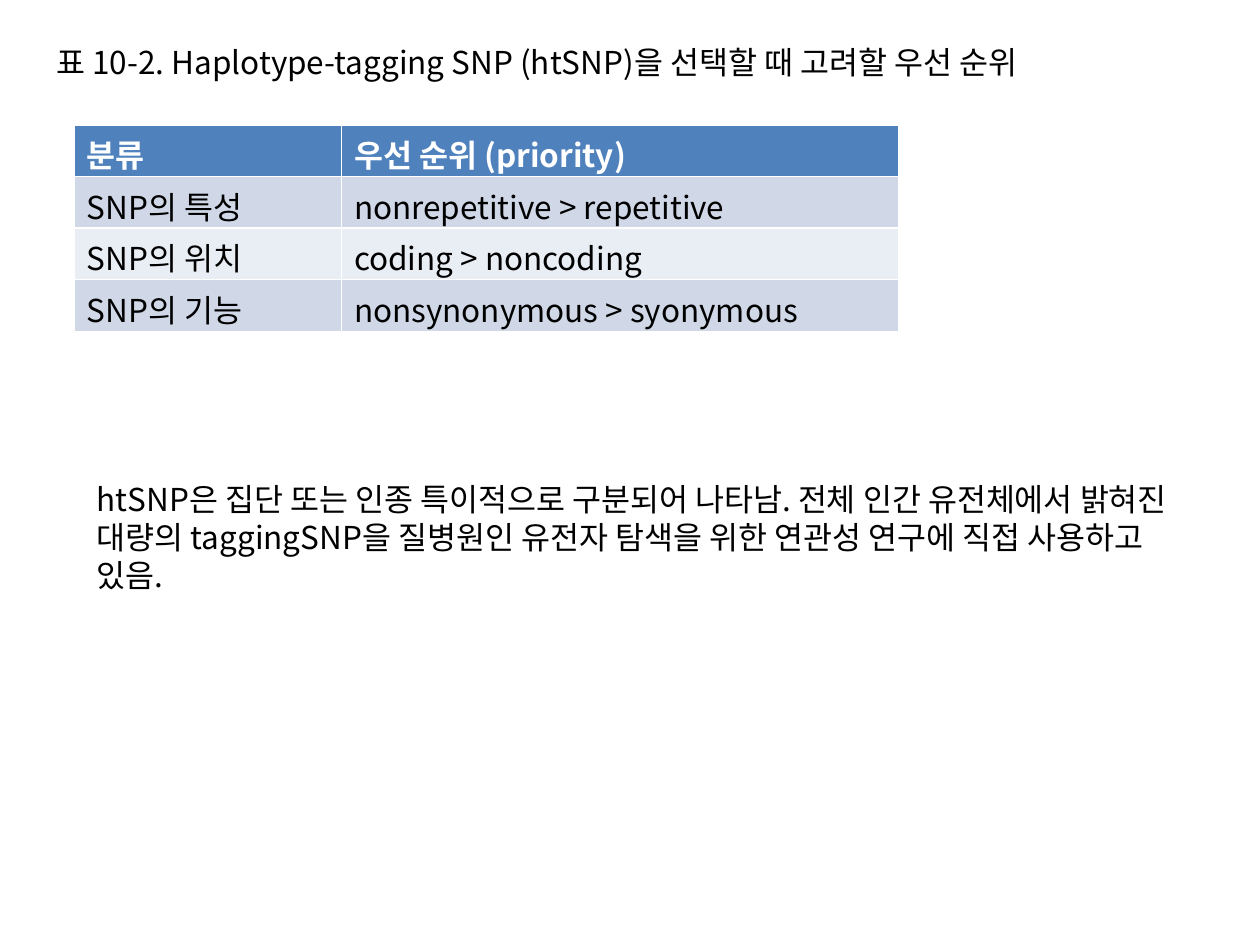
from lxml import etree
from pptx import Presentation
from pptx import util as u
from pptx.dml.color import RGBColor
from pptx.enum import text
from pptx.oxml import ns

SLIDE_WIDTH, SLIDE_HEIGHT = 10, 7.5

THEME = {
    "font": "Noto Sans CJK KR",
    "size": 18,
    "ink": "000000",
    "header_ink": "FFFFFF",
    "header_fill": "4F81BD",
    "band_fills": ("D0D8E8", "E9EDF4"),
}

TEXT_BOXES = [
    {
        "text": "표 10-2. Haplotype-tagging SNP (htSNP)을 선택할 때 고려할 우선 순위",
        "area": (0.35, 0.29, 8.74, 0.4),
    },
    {
        "text": "htSNP은 집단 또는 인종 특이적으로 구분되어 나타남. "
                "전체 인간 유전체에서 밝혀진 대량의 taggingSNP을 질병원인 유전자 "
                "탐색을 위한 연관성 연구에 직접 사용하고 있음.",
        "area": (0.67, 3.76, 8.74, 1.01),
    },
]

PRIORITIES = [
    ("분류", "우선 순위 (priority)"),
    ("SNP의 특성", "nonrepetitive > repetitive"),
    ("SNP의 위치", "coding > noncoding"),
    ("SNP의 기능", "nonsynonymous > syonymous"),
]
TABLE_LEFT, TABLE_TOP = 0.59, 0.99
COLUMN_WIDTHS = (2.12, 4.42)
ROW_HEIGHT = 0.41


def write_text(frame, content, ink, bold=False):
    run = frame.paragraphs[0].add_run()
    run.text = content
    formats = {"name": THEME["font"], "size": u.Pt(THEME["size"]), "bold": bold}
    for attribute, value in formats.items():
        setattr(run.font, attribute, value)
    run.font.color.rgb = RGBColor.from_string(ink)
    properties = run._r.get_or_add_rPr()
    etree.SubElement(properties, ns.qn("a:ea"), typeface=THEME["font"])


def add_text_box(slide, content, area):
    shape = slide.shapes.add_textbox(*map(u.Inches, area))
    formats = {"word_wrap": True, "auto_size": text.MSO_AUTO_SIZE.SHAPE_TO_FIT_TEXT}
    for attribute, value in formats.items():
        setattr(shape.text_frame, attribute, value)
    write_text(shape.text_frame, content, THEME["ink"])


def add_priority_table(slide):
    area = (TABLE_LEFT, TABLE_TOP, sum(COLUMN_WIDTHS), ROW_HEIGHT * len(PRIORITIES))
    table = slide.shapes.add_table(
        len(PRIORITIES), len(COLUMN_WIDTHS), *map(u.Inches, area)
    ).table
    for column, width in zip(table.columns, COLUMN_WIDTHS):
        column.width = u.Inches(width)
    for row_index, labels in enumerate(PRIORITIES):
        table.rows[row_index].height = u.Inches(ROW_HEIGHT)
        header = row_index == 0
        band = THEME["band_fills"][(row_index - 1) % 2]
        fill = THEME["header_fill"] if header else band
        ink = THEME["header_ink"] if header else THEME["ink"]
        for column_index, label in enumerate(labels):
            cell = table.cell(row_index, column_index)
            cell.fill.solid()
            cell.fill.fore_color.rgb = RGBColor.from_string(fill)
            write_text(cell.text_frame, label, ink, bold=header)


def main():
    presentation = Presentation()
    presentation.slide_width = u.Inches(SLIDE_WIDTH)
    presentation.slide_height = u.Inches(SLIDE_HEIGHT)
    slide = presentation.slides.add_slide(presentation.slide_layouts[6])
    title, note = TEXT_BOXES
    add_text_box(slide, title["text"], title["area"])
    add_priority_table(slide)
    add_text_box(slide, note["text"], note["area"])
    presentation.save("out.pptx")


if __name__ == "__main__":
    main()
